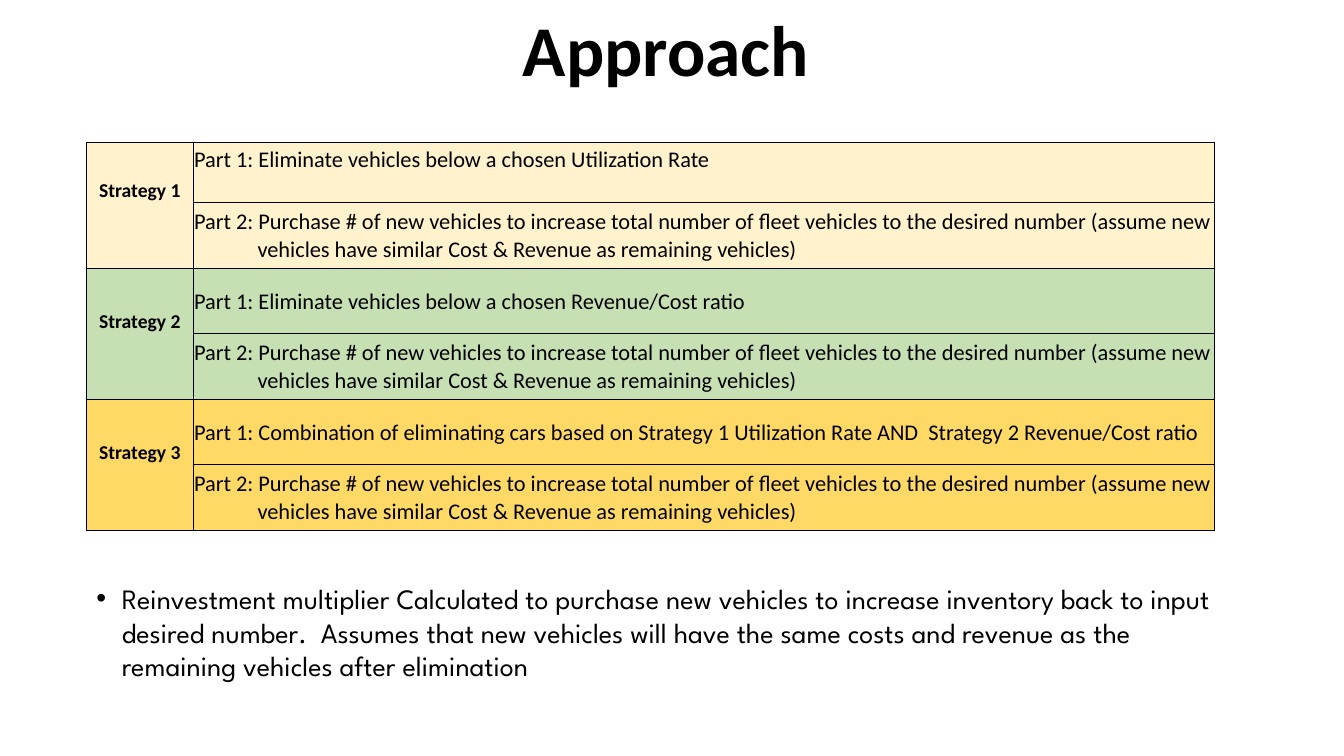
"""Build the Approach slide: a strategy table under a title, with a closing bullet."""
from lxml import etree
from pptx import Presentation
from pptx.dml.color import RGBColor
from pptx.enum.text import MSO_ANCHOR, PP_ALIGN
from pptx.oxml.ns import qn
from pptx.util import Cm, Pt

BOTTOM, MIDDLE, TOP = MSO_ANCHOR.BOTTOM, MSO_ANCHOR.MIDDLE, MSO_ANCHOR.TOP
CENTER, LEFT = PP_ALIGN.CENTER, PP_ALIGN.LEFT
BLACK = "000000"
PURCHASE = ("Part 2: Purchase # of new vehicles to increase total number of fleet vehicles to the "
            "desired number (assume new vehicles have similar Cost & Revenue as remaining vehicles)")
STRATEGIES = [
    ("Strategy 1", "FFF2CC", "Part 1: Eliminate vehicles below a chosen Utilization Rate"),
    ("Strategy 2", "C6E0B4", "Part 1: Eliminate vehicles below a chosen Revenue/Cost ratio"),
    ("Strategy 3", "FFD966", "Part 1: Combination of eliminating cars based on Strategy 1 "
                             "Utilization Rate AND  Strategy 2 Revenue/Cost ratio"),
]
REINVESTMENT = ("Reinvestment multiplier Calculated to purchase new vehicles to increase inventory "
                "back to input desired number.  Assumes that new vehicles will have the same costs "
                "and revenue as the remaining vehicles after elimination")


def write(frame, text, size, font="Calibri", bold=False, align=LEFT, hanging=0):
    para = frame.paragraphs[0]
    para.alignment = align
    if hanging:
        properties = para._p.get_or_add_pPr()
        properties.set("marL", str(Cm(hanging)))
        properties.set("indent", str(-Cm(hanging)))
    span = para.add_run()
    span.text = text
    span.font.color.rgb = RGBColor.from_string(BLACK)
    for name, value in {"size": Pt(size), "name": font, "bold": bold}.items():
        setattr(span.font, name, value)
    return para


def style_cell(cell, color, open_edge=None):
    properties = cell._tc.get_or_add_tcPr()
    for edge in ("lnL", "lnR", "lnT", "lnB"):
        line = etree.SubElement(properties, qn(f"a:{edge}"), w=str(Pt(0.5)))
        if edge == open_edge:
            etree.SubElement(line, qn("a:noFill"))
        else:
            fill = etree.SubElement(line, qn("a:solidFill"))
            etree.SubElement(fill, qn("a:srgbClr"), val=BLACK)
    cell.fill.solid()
    cell.fill.fore_color.rgb = RGBColor.from_string(color)
    margins = {"margin_left": 0.02, "margin_right": 0.02, "margin_top": 0.02, "margin_bottom": 0}
    for name, value in margins.items():
        setattr(cell, name, Cm(value))


deck = Presentation()
deck.slide_width, deck.slide_height = Cm(33.87), Cm(19.05)
page = deck.slides.add_slide(deck.slide_layouts[6])

title = page.shapes.add_textbox(Cm(2.18), Cm(0), Cm(29.21), Cm(2.44)).text_frame
title.word_wrap = True
title.vertical_anchor = BOTTOM
write(title, "Approach", 51, bold=True, align=CENTER).line_spacing = 0.9

table = page.shapes.add_table(6, 2, Cm(2.18), Cm(3.58), Cm(28.42), Cm(9.78)).table
table.first_row = table.horz_banding = False
for column, width in zip(table.columns, (2.69, 25.73)):
    column.width = Cm(width)
for row, height in zip(table.rows, [1.53] + [1.65] * 5):
    row.height = Cm(height)

for index, (label, color, elimination) in enumerate(STRATEGIES):
    first, second = 2 * index, 2 * index + 1
    style_cell(table.cell(first, 0), color, "lnB")
    style_cell(table.cell(second, 0), color, "lnT")
    table.cell(first, 0).vertical_anchor = BOTTOM
    write(table.cell(first, 0).text_frame, label, 14, bold=True, align=CENTER)
    for row, text, hanging in ((first, elimination, 0), (second, PURCHASE, 1.6)):
        cell = table.cell(row, 1)
        style_cell(cell, color)
        cell.vertical_anchor = MIDDLE
        write(cell.text_frame, text, 16, hanging=hanging)
table.cell(0, 1).vertical_anchor = TOP
table.cell(0, 1).margin_top = Cm(0.1)

note = page.shapes.add_textbox(Cm(2.18), Cm(14.53), Cm(29.49), Cm(2.95)).text_frame
note.word_wrap = True
bullet = write(note, REINVESTMENT, 20, font="League Spartan", hanging=0.64)
bullet.space_before = Pt(10)
properties = bullet._p.get_or_add_pPr()
etree.SubElement(properties, qn("a:buFont"), typeface="Arial")
etree.SubElement(properties, qn("a:buChar"), char="•")

deck.save("out.pptx")
